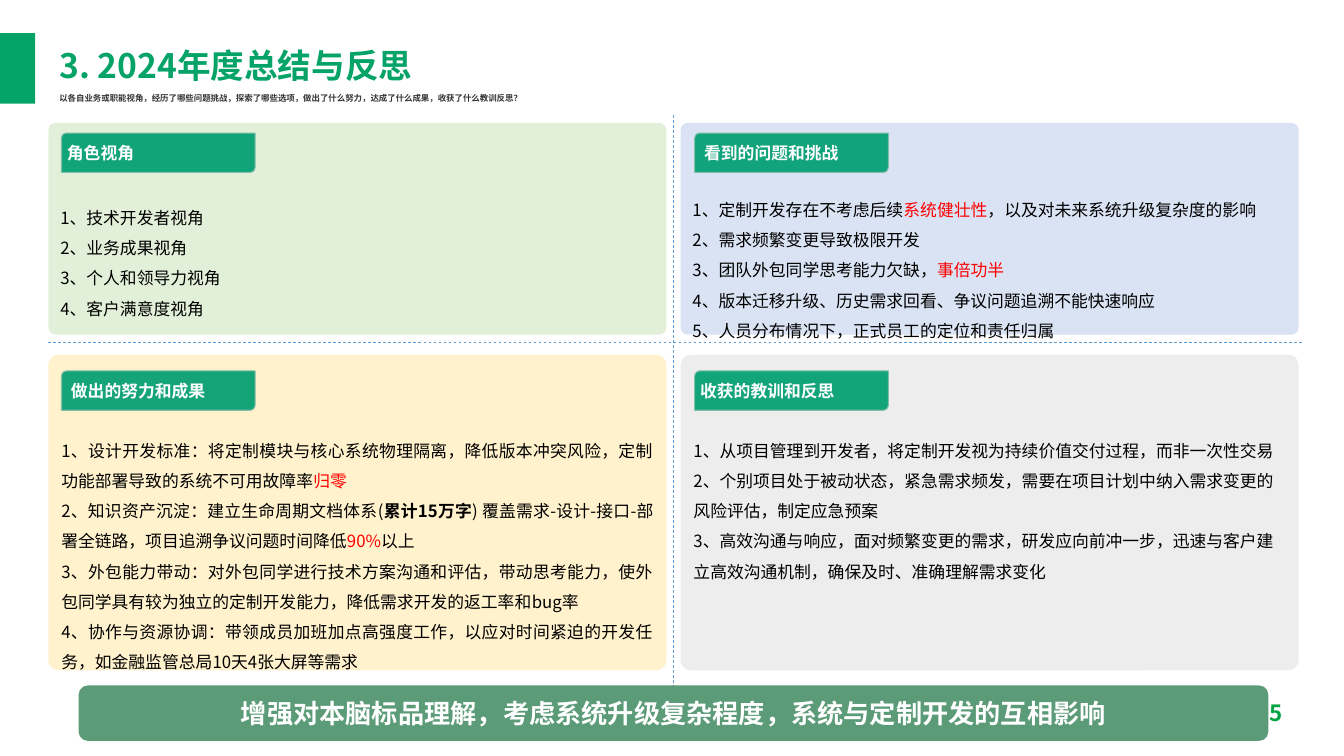
from lxml import etree
from pptx import Presentation, util as u
from pptx.dml.color import RGBColor
from pptx.enum import dml, shapes, text
from pptx.oxml import ns

SHAPE = shapes.MSO_SHAPE
ALIGN = text.PP_ALIGN


def color(value):
    return RGBColor.from_string(value)


def span(words, **form):
    return words, form


def red(words):
    return span(words, ink="FF0000")


def add_child(parent, tag, **attributes):
    return etree.SubElement(parent, ns.qn(tag), **attributes)


class Page:
    font = "Noto Sans CJK SC"
    green = "05A367"

    def __init__(self, deck):
        self.slide = deck.slides.add_slide(deck.slide_layouts[6])

    def set_text(self, box, paras, size=12, ink="000000", bold=False, font=font,
                 align=ALIGN.LEFT, spacing=1.0, anchor=text.MSO_ANCHOR.TOP,
                 insets=(0.1, 0.05, 0.1, 0.05), wrap=True):
        """Fill a box with paragraphs, each a list of plain words or spans."""
        frame = box.text_frame
        frame.word_wrap = wrap
        frame.vertical_anchor = anchor
        (frame.margin_left, frame.margin_top,
         frame.margin_right, frame.margin_bottom) = map(u.Inches, insets)
        for index, parts in enumerate(paras):
            para = frame.add_paragraph() if index else frame.paragraphs[0]
            para.alignment, para.line_spacing = align, spacing
            for part in parts:
                words, form = part if isinstance(part, tuple) else (part, {})
                run = para.add_run()
                run.text = words
                run.font.name = font
                run.font.size = u.Pt(size)
                run.font.bold = form.get("bold", bold)
                run.font.color.rgb = color(form.get("ink", ink))
                add_child(run.font._element, "a:ea", typeface=self.font)

    def text_box(self, place, words, **form):
        box = self.slide.shapes.add_textbox(*map(u.Inches, place))
        self.set_text(box, [[words]], **form)

    def shape(self, kind, place, fill, radii=(), opacity=None, line=None):
        box = self.slide.shapes.add_shape(kind, *map(u.Inches, place))
        box.shadow.inherit = False
        for index, radius in enumerate(radii):
            box.adjustments[index] = radius
        box.fill.solid()
        box.fill.fore_color.rgb = color(fill)
        if opacity:
            tint = box._element.spPr.find(".//" + ns.qn("a:srgbClr"))
            add_child(tint, "a:alpha", val=str(opacity * 1000))
        if line:
            box.line.color.rgb = color(line)
            box.line.width = u.Pt(0.75)
        else:
            box.line.fill.background()
        return box

    def panel(self, place, fill, paras, top, align=ALIGN.LEFT):
        box = self.shape(SHAPE.ROUNDED_RECTANGLE, place, fill, radii=[0.033])
        self.set_text(box, paras, align=align, spacing=1.5,
                      insets=(0.1, top, 0.1, 0))

    def label(self, left, top, words, indent):
        box = self.shape(SHAPE.ROUND_2_DIAG_RECTANGLE, (left, top, 1.92, 0.39),
                         "009E71", radii=[0.126, 0], opacity=92, line="80BEA8")
        self.set_text(box, [[words]], ink="FFFFFF", bold=True, font="Arial",
                      anchor=text.MSO_ANCHOR.MIDDLE,
                      insets=(indent, 0.05, 0.04, 0.05))

    def divider(self, *ends):
        line = self.slide.shapes.add_connector(
            shapes.MSO_CONNECTOR.STRAIGHT, *map(u.Inches, ends))
        line.line.color.rgb = color("5B9BD5")
        line.line.width = u.Pt(0.5)
        line.line.dash_style = dml.MSO_LINE.DASH
        add_child(line._element.spPr, "a:effectLst")


ROLES = [
    ["1、技术开发者视角"],
    ["2、业务成果视角"],
    ["3、个人和领导力视角"],
    ["4、客户满意度视角"],
]
CHALLENGES = [
    ["1、定制开发存在不考虑后续", red("系统健壮性"),
     "，以及对未来系统升级复杂度的影响"],
    ["2、需求频繁变更导致极限开发"],
    ["3、团队外包同学思考能力欠缺，", red("事倍功半")],
    ["4、版本迁移升级、历史需求回看、争议问题追溯不能快速响应"],
    ["5、人员分布情况下，正式员工的定位和责任归属"],
]
RESULTS = [
    ["1、设计开发标准：将定制模块与核心系统物理隔离，降低版本冲突风险，"
     "定制功能部署导致的系统不可用故障率", red("归零")],
    ["2、知识资产沉淀：建立生命周期文档体系(", span("累计15万字", bold=True),
     ") 覆盖需求-设计-接口-部署全链路，项目追溯争议问题时间降低",
     red("90%"), "以上"],
    ["3、外包能力带动：对外包同学进行技术方案沟通和评估，带动思考能力，"
     "使外包同学具有较为独立的定制开发能力，降低需求开发的返工率和bug率"],
    ["4、协作与资源协调：带领成员加班加点高强度工作，"
     "以应对时间紧迫的开发任务，如金融监管总局10天4张大屏等需求"],
]
LESSONS = [
    ["1、从项目管理到开发者，将定制开发视为持续价值交付过程，而非一次性交易"],
    ["2、个别项目处于被动状态，紧急需求频发，"
     "需要在项目计划中纳入需求变更的风险评估，制定应急预案"],
    ["3、高效沟通与响应，面对频繁变更的需求，研发应向前冲一步，"
     "迅速与客户建立高效沟通机制，确保及时、准确理解需求变化"],
]

# Grid: (left, label left) by column, (top, height, label top) by row
COLUMNS = [(0.48, 0.61), (6.75, 6.89)]
ROWS = [(1.22, 2.1, 1.32), (3.52, 3.13, 3.68)]
# Column, row, fill, heading, heading indent, paragraphs, text top, alignment
QUADRANTS = [
    (0, 0, "E2F0D9", "角色视角", 0.04, ROLES, 0.72, ALIGN.LEFT),
    (1, 0, "DAE3F3", "看到的问题和挑战", 0.08, CHALLENGES, 0.64, ALIGN.JUSTIFY),
    (0, 1, "FFF2CC", "做出的努力和成果", 0.08, RESULTS, 0.72, ALIGN.JUSTIFY),
    (1, 1, "EDEDED", "收获的教训和反思", 0.04, LESSONS, 0.72, ALIGN.LEFT),
]


def main():
    deck = Presentation()
    deck.slide_width, deck.slide_height = u.Inches(13.33), u.Inches(7.5)
    page = Page(deck)

    # Heading and page number
    page.text_box((12.49, 6.89, 0.51, 0.37), "5", size=16, ink="00A340",
                  bold=True, wrap=False)
    page.shape(SHAPE.RECTANGLE, (0, 0.33, 0.35, 0.7), page.green)
    page.text_box((0.49, 0.44, 12.35, 0.46), "3. 2024年度总结与反思", size=24,
                  ink=page.green, bold=True, spacing=0.9,
                  anchor=text.MSO_ANCHOR.MIDDLE)
    page.text_box((0.49, 0.87, 10.87, 0.2),
                  "以各自业务或职能视角，经历了哪些问题挑战，探索了哪些选项，"
                  "做出了什么努力，达成了什么成果，收获了什么教训反思？",
                  size=6, ink="333333", bold=True)

    # Four quadrants
    for column, row, fill, heading, indent, paras, start, align in QUADRANTS:
        left, label_left = COLUMNS[column]
        top, height, label_top = ROWS[row]
        page.panel((left, top, 6.13, height), fill, paras, start, align)
        page.label(label_left, label_top, heading, indent)

    # Dividers
    page.divider(0.48, 3.4, 12.93, 3.4)
    page.divider(6.68, 1.14, 6.68, 6.8)

    # Conclusion bar
    bar = page.shape(SHAPE.ROUNDED_RECTANGLE, (0.78, 6.8, 11.8, 0.55),
                     "338257", opacity=80)
    page.set_text(
        bar, [["增强对本脑标品理解，考虑系统升级复杂程度，系统与定制开发的互相影响"]],
        size=18.7, ink="FFFFFF", bold=True, align=ALIGN.CENTER,
        anchor=text.MSO_ANCHOR.MIDDLE)

    deck.save("out.pptx")


if __name__ == "__main__":
    main()
